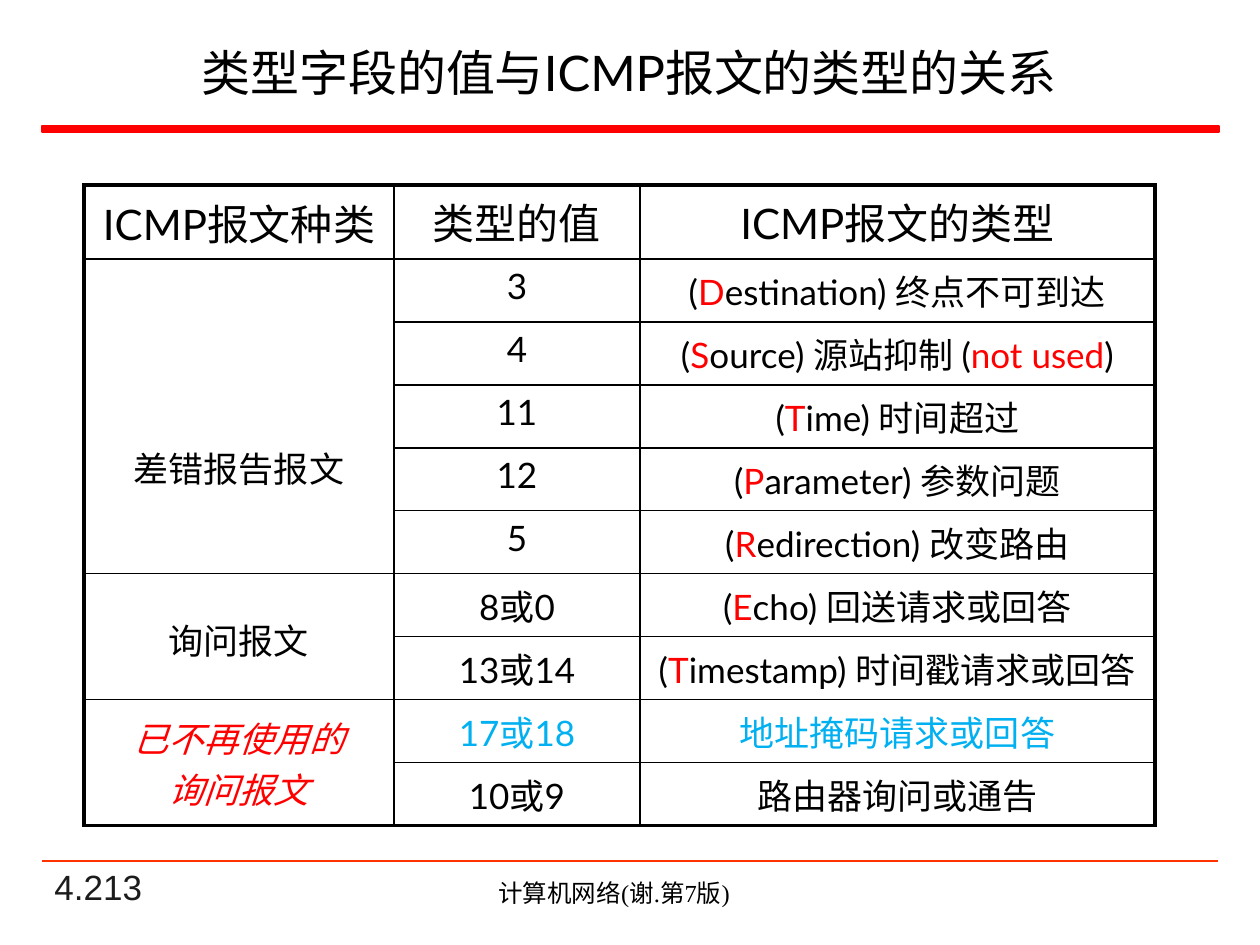
from pptx import Presentation
from pptx.dml.color import RGBColor
from pptx.enum.shapes import MSO_CONNECTOR, MSO_SHAPE
from pptx.enum.text import MSO_ANCHOR, PP_ALIGN
from pptx.oxml import parse_xml
from pptx.oxml.ns import nsdecls
from pptx.util import Pt

EMU_PER_PX = 914400 // 126
COLORS = {
    "black": "000000",
    "red": "FF0000",
    "orange": "FF3300",
    "blue": "00B0F0",
    "dark": "1C1C1C",
}
COL_WIDTHS = [310, 246, 515]
HEADER_HEIGHT, ROW_HEIGHT = 74, 63
HEADERS = ["ICMP报文种类", "类型的值", "ICMP报文的类型"]
# Text between bars is red.
TYPES = [
    ("3", "(|D|estination) 终点不可到达"),
    ("4", "(|S|ource) 源站抑制 (|not used|)"),
    ("11", "(|T|ime) 时间超过"),
    ("12", "(|P|arameter) 参数问题"),
    ("5", "(|R|edirection) 改变路由"),
    ("8或0", "(|E|cho) 回送请求或回答"),
    ("13或14", "(|T|imestamp) 时间戳请求或回答"),
    ("17或18", "地址掩码请求或回答"),
    ("10或9", "路由器询问或通告"),
]
BLUE_VALUE = "17或18"


def px(n):
    return n * EMU_PER_PX


def rgb(name):
    return RGBColor.from_string(COLORS[name])


def style(font, size, color="black", name="Lato", italic=False):
    font.size = Pt(size)
    font.name = name
    font.bold = False
    font.italic = italic
    font.color.rgb = rgb(color)


def add_text(s, box, text, size, color="black", name="Lato",
             align=PP_ALIGN.CENTER, anchor=MSO_ANCHOR.TOP):
    tf = s.shapes.add_textbox(*map(px, box)).text_frame
    tf.word_wrap = True
    tf.vertical_anchor = anchor
    p = tf.paragraphs[0]
    p.text = text
    p.alignment = align
    style(p.runs[0].font, size, color, name)


def add_bar(s, box, color):
    sp = s.shapes.add_shape(MSO_SHAPE.RECTANGLE, *map(px, box))
    sp.shadow.inherit = False
    sp.fill.solid()
    sp.fill.fore_color.rgb = rgb(color)
    sp.line.color.rgb = rgb(color)
    sp.line.width = Pt(1)


def add_line(s, x1, x2, y, color, width):
    line = s.shapes.add_connector(MSO_CONNECTOR.STRAIGHT, px(x1), px(y), px(x2), px(y))
    line.line.color.rgb = rgb(color)
    line.line.width = Pt(width)
    line._element.spPr.append(parse_xml(f"<a:effectLst {nsdecls('a')}/>"))


def fill_cell(cell, text, size=20, color="black", italic=False, anchor=MSO_ANCHOR.TOP):
    """Write centred lines, with every second bar-separated part in red."""
    cell.text = text.replace("|", "")
    cell.vertical_anchor = anchor
    for p, line in zip(cell.text_frame.paragraphs, text.split("\n")):
        p.clear()
        p.alignment = PP_ALIGN.CENTER
        for i, part in enumerate(line.split("|")):
            r = p.add_run()
            r.text = part
            style(r.font, size, "red" if i % 2 else color, italic=italic)


def set_borders(cell, outer):
    """Draw all four sides, the ones named in outer thicker."""
    tcPr = cell._tc.get_or_add_tcPr()
    for i, side in enumerate("LRTB"):
        width = Pt(2.25 if side in outer else 1)
        tcPr.insert(i, parse_xml(
            f'<a:ln{side} {nsdecls("a")} w="{width}"><a:solidFill>'
            f'<a:srgbClr val="{COLORS["black"]}"/></a:solidFill></a:ln{side}>'))


def frame_table(table):
    n_rows, n_cols = len(table.rows), len(table.columns)
    for row in range(n_rows):
        for col in range(n_cols):
            cell = table.cell(row, col)
            cell.fill.background()
            if cell.is_spanned:
                continue
            height = cell.span_height if cell.is_merge_origin else 1
            edges = {"L": col == 0, "R": col == n_cols - 1,
                     "T": row == 0, "B": row + height == n_rows}
            set_borders(cell, [side for side, is_outer in edges.items() if is_outer])


def add_group(table, first, last, text, **kw):
    cell = table.cell(first, 0)
    cell.merge(table.cell(last, 0))
    fill_cell(cell, text, anchor=MSO_ANCHOR.MIDDLE, **kw)
    return cell


def add_type_table(s):
    n_rows = len(TYPES) + 1
    height = HEADER_HEIGHT + ROW_HEIGHT * len(TYPES)
    table = s.shapes.add_table(n_rows, len(COL_WIDTHS), px(84), px(185),
                               px(sum(COL_WIDTHS)), px(height)).table
    table.first_row = table.horz_banding = False
    for column, width in zip(table.columns, COL_WIDTHS):
        column.width = px(width)
    for i, row in enumerate(table.rows):
        row.height = px(ROW_HEIGHT if i else HEADER_HEIGHT)

    for col, text in enumerate(HEADERS):
        fill_cell(table.cell(0, col), text, size=24,
                  anchor=MSO_ANCHOR.TOP if col else MSO_ANCHOR.MIDDLE)
    for row, (value, kind) in enumerate(TYPES, start=1):
        color = "blue" if value == BLUE_VALUE else "black"
        fill_cell(table.cell(row, 1), value, color=color)
        fill_cell(table.cell(row, 2), kind, color=color)

    errors = add_group(table, 1, 5, "差错报告报文")
    errors.margin_top = px(108)
    queries = add_group(table, 6, 7, "询问报文")
    queries.margin_top = px(12)
    add_group(table, 8, 9, "已不再使用的\n询问报文", color="red", italic=True)
    frame_table(table)


def main():
    prs = Presentation()
    prs.slide_width, prs.slide_height = px(1260), px(945)
    s = prs.slides.add_slide(prs.slide_layouts[6])

    add_text(s, (42, 872, 262, 42), "4.213", 20, "dark", "Arial",
             PP_ALIGN.LEFT, MSO_ANCHOR.BOTTOM)
    add_bar(s, (42, 126, 1177, 6), "red")
    add_line(s, 42, 1218, 861, "orange", 1.5)
    add_text(s, (357, 872, 514, 43), "计算机网络(谢.第7版)", 14, name="Times New Roman")
    add_text(s, (49, 28, 1160, 87), "类型字段的值与ICMP报文的类型的关系", 28,
             anchor=MSO_ANCHOR.MIDDLE)
    add_type_table(s)
    prs.save("out.pptx")


if __name__ == "__main__":
    main()
